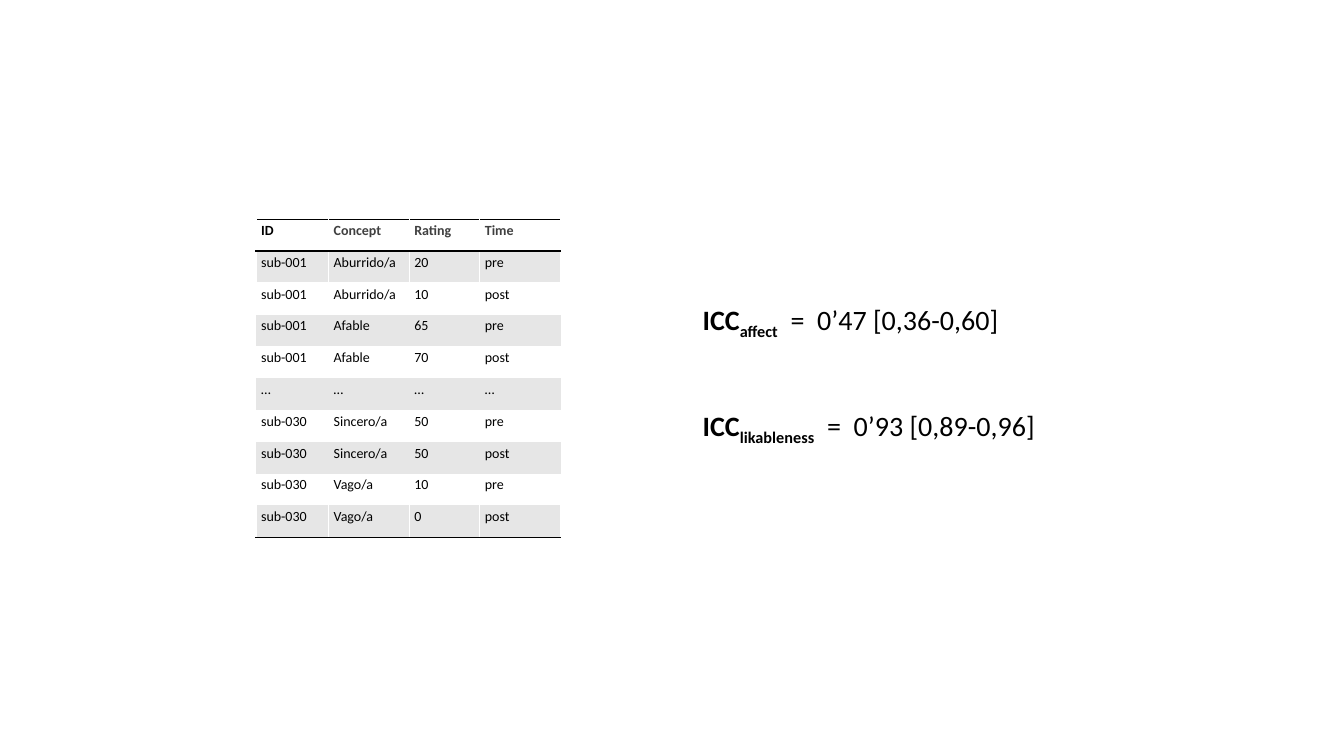
from lxml import etree
from pptx import Presentation
from pptx import util as u
from pptx.dml.color import RGBColor
from pptx.enum import text
from pptx.oxml.ns import qn

SLIDE = (u.Inches(13.33), u.Inches(7.5))
COLORS = {"ink": "000000", "heading": "404040", "band": "E6E6E6", "paper": "FFFFFF"}
NO_STYLE = "{2D5ABB26-0587-4C30-8999-92F81FD0307C}"
CELL_FORMAT = {
    "margin_left": u.Inches(0.05), "margin_right": u.Inches(0.05),
    "margin_top": u.Inches(0.03), "margin_bottom": u.Inches(0.03),
}
COLUMN_SHARES = (0.72, 0.8, 0.7, 0.8)
RATINGS = [
    ("ID", "Concept", "Rating", "Time"),
    ("sub-001", "Aburrido/a", "20", "pre"),
    ("sub-001", "Aburrido/a", "10", "post"),
    ("sub-001", "Afable", "65", "pre"),
    ("sub-001", "Afable", "70", "post"),
    ("…", "…", "…", "…"),
    ("sub-030", "Sincero/a", "50", "pre"),
    ("sub-030", "Sincero/a", "50", "post"),
    ("sub-030", "Vago/a", "10", "pre"),
    ("sub-030", "Vago/a", "0", "post"),
    ("", "", "", ""),
]
EDGES = {
    0: {"L": "paper", "R": "paper", "T": "ink", "B": "ink"},
    1: {"L": "paper", "R": "paper", "T": "ink", "B": "paper"},
    2: {"L": "paper", "R": "paper", "T": "paper"},
    9: {"L": "paper", "R": "paper", "B": "ink"},
    10: {"L": "paper", "R": "paper", "T": "ink", "B": "paper"},
}


def place(left, top, width, height):
    """Turn percentages of the slide into a box of lengths."""
    return [int(size * share / 100)
            for size, share in zip(SLIDE * 2, (left, top, width, height))]


def write(paragraph, words, size, color="ink", bold=False):
    """Add one run of Calibri text and return it."""
    run = paragraph.add_run()
    run.text = words
    style = {"name": "Calibri", "size": u.Pt(size), "bold": bold}
    for key, value in style.items():
        setattr(run.font, key, value)
    run.font.color.rgb = RGBColor.from_string(COLORS[color])
    return run


def draw_edges(cell, edges):
    """Draw the listed one-point borders of a cell."""
    properties = cell._tc.get_or_add_tcPr()
    for position, (side, color) in enumerate(edges.items()):
        line = etree.Element(qn(f"a:ln{side}"), w=str(u.Pt(1)))
        fill = etree.SubElement(line, qn("a:solidFill"))
        etree.SubElement(fill, qn("a:srgbClr"), val=COLORS[color])
        properties.insert(position, line)


def add_ratings(slide, box):
    """Fill the box with the banded table of ratings."""
    left, top, width, height = box
    ratings = slide.shapes.add_table(len(RATINGS), len(COLUMN_SHARES), *box).table
    ratings._tbl.tblPr.find(qn("a:tableStyleId")).text = NO_STYLE
    for column, share in zip(ratings.columns, COLUMN_SHARES):
        column.width = int(width * share / sum(COLUMN_SHARES))
    for r, record in enumerate(RATINGS):
        ratings.rows[r].height = height // len(RATINGS)
        for c, words in enumerate(record):
            cell = ratings.cell(r, c)
            for key, value in CELL_FORMAT.items():
                setattr(cell, key, value)
            cell.fill.solid()
            cell.fill.fore_color.rgb = RGBColor.from_string(
                COLORS["band" if r % 2 else "paper"])
            color = "heading" if r == 0 and c > 0 else "ink"
            write(cell.text_frame.paragraphs[0], words, 10, color, r == 0)
            draw_edges(cell, EDGES.get(r, {}))


def add_icc(slide, box, scale, estimate):
    """Write one intraclass correlation with its interval in the box."""
    frame = slide.shapes.add_textbox(*box).text_frame
    frame.word_wrap = False
    frame.auto_size = text.MSO_AUTO_SIZE.SHAPE_TO_FIT_TEXT
    formula = frame.paragraphs[0]
    write(formula, "ICC", 20, bold=True)
    subscript = write(formula, scale, 20, bold=True)
    subscript.font._element.set("baseline", "-25000")
    for words in (" ", "=", " ", estimate):
        run = write(formula, words, 20)
        if words == " ":
            run.font._element.set("spc", "450")


def main():
    """Build and save the slide."""
    deck = Presentation()
    deck.slide_width, deck.slide_height = SLIDE
    slide = deck.slides.add_slide(deck.slide_layouts[6])
    add_ratings(slide, place(19.05, 29, 22.66, 46.3))
    add_icc(slide, place(51.54, 39.3, 24.68, 5.87), "affect", "0’47 [0,36-0,60]")
    add_icc(slide, place(51.54, 53.4, 27.76, 5.87), "likableness", "0’93 [0,89-0,96]")
    deck.save("out.pptx")


if __name__ == "__main__":
    main()
